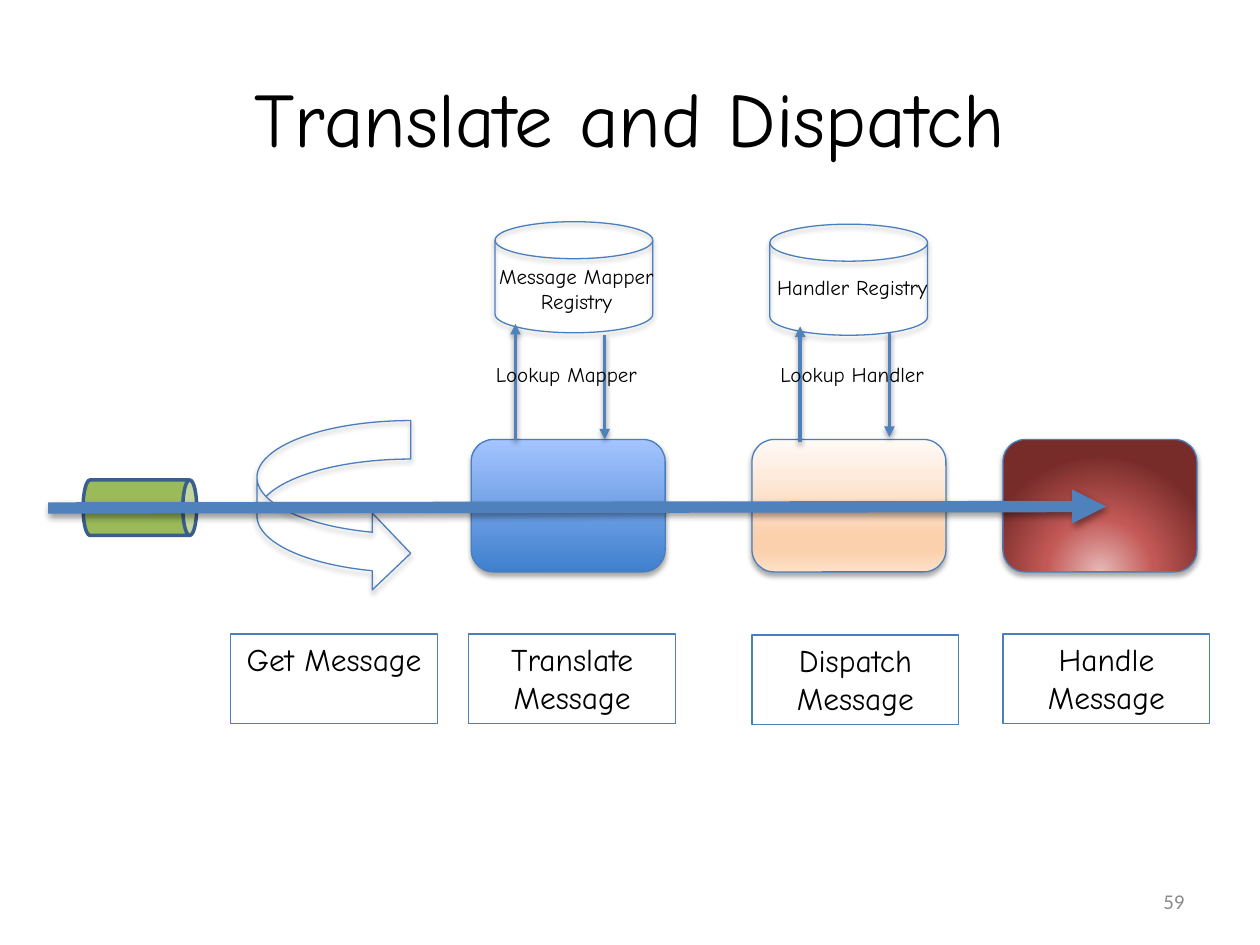
from lxml.etree import SubElement
from pptx import Presentation
from pptx.dml.color import RGBColor
from pptx.enum.shapes import MSO_CONNECTOR, MSO_SHAPE
from pptx.enum.text import MSO_ANCHOR, PP_ALIGN
from pptx.oxml import parse_xml
from pptx.oxml.ns import nsdecls, qn
from pptx.util import Cm, Pt

THEME = {
    "font": "Comic Neue", "number_font": "Calibri",
    "title": 44, "label": 18, "note": 12,
    "text": "000000", "number": "8C8C8C", "shadow": "000000",
    "outline": "4B7EBC", "arrow": "4F81BD",
    "queue": "9BBB59", "queue_outline": "3A5F8C",
}

TITLE = "Translate and Dispatch"
SLIDE_NUMBER = "59"

# Step label, left, top
LABELS = [
    ("Get Message", 4.65, 12.78),
    ("Translate Message", 9.45, 12.78),
    ("Dispatch Message", 15.16, 12.8),
    ("Handle Message", 20.22, 12.78),
]
LABEL_SIZE = (4.17, 1.8)

# Left edge, gradient stops (percent, colour), direction
UPWARD = '<a:lin ang="16200000" scaled="0"/>'
DOWNWARD = '<a:lin ang="5400000" scaled="0"/>'
GLOW = ('<a:path path="circle"><a:fillToRect l="50000" t="130000" '
        'r="50000" b="-30000"/></a:path>')
STAGES = [
    (9.5, [(0, "3F80CE"), (100, "A4C4FF")], UPWARD),
    (15.16, [(0, "FFFAF6"), (74, "FBD0AC"), (83, "FBD0AC"), (100, "FDE0C7")], DOWNWARD),
    (20.22, [(0, "E6B9B8"), (46, "C35956"), (100, "772C2A")], GLOW),
]
STAGE_TOP, STAGE_SIZE = 8.86, (3.91, 2.67)

REGISTRIES = [(9.98, 4.47), (15.52, 4.52)]
REGISTRY_SIZE = (3.18, 2.24)

# Text, left, top, height
NOTES = [
    ("Message Mapper Registry", 9.6, 5.18, 1.27),
    ("Handler Registry", 15.16, 5.41, 0.76),
    ("Lookup Mapper", 9.4, 7.16, 0.76),
    ("Lookup Handler", 15.16, 7.16, 0.76),
]
NOTE_WIDTH = 4.04

# Start x, start y, end x, end y, line width
ARROWS = [
    (10.39, 8.86, 10.39, 6.53, 2),
    (16.13, 8.92, 16.13, 6.58, 2),
    (12.19, 6.76, 12.19, 8.86, 2),
    (17.93, 6.71, 17.93, 8.81, 2),
    (0.97, 10.24, 22.3, 10.21, 6.5),
]


def color(name):
    return RGBColor.from_string(THEME[name])


def add_shadow(shape, distance, opacity):
    """Replace the theme effect with a soft shadow straight below."""
    properties = shape._element.spPr
    for old in properties.findall(qn("a:effectLst")):
        properties.remove(old)
    properties.append(parse_xml(
        f'<a:effectLst {nsdecls("a")}><a:outerShdw blurRad="{Pt(3.1)}" '
        f'dist="{Pt(distance)}" dir="5400000" rotWithShape="0">'
        f'<a:srgbClr val="{THEME["shadow"]}"><a:alpha val="{opacity * 1000}"/>'
        '</a:srgbClr></a:outerShdw></a:effectLst>'))


def add_outlined(slide, kind, left, top, size, line="outline", width=0.75):
    """Add an unfilled, shadowless shape with a coloured outline."""
    shape = slide.shapes.add_shape(kind, Cm(left), Cm(top), *map(Cm, size))
    shape.shadow.inherit = False
    shape.fill.background()
    shape.line.color.rgb = color(line)
    shape.line.width = Pt(width)
    return shape


def fill_gradient(shape, stops, direction):
    properties = shape._element.spPr
    properties.remove(properties.find(qn("a:noFill")))
    stop_xml = "".join(
        f'<a:gs pos="{position * 1000}"><a:srgbClr val="{value}"/></a:gs>'
        for position, value in stops)
    properties.find(qn("a:prstGeom")).addnext(parse_xml(
        f'<a:gradFill {nsdecls("a")} rotWithShape="1">'
        f'<a:gsLst>{stop_xml}</a:gsLst>{direction}</a:gradFill>'))


def write(shape, text, size, anchor=MSO_ANCHOR.TOP, align=PP_ALIGN.CENTER,
          font="font", ink="text"):
    frame = shape.text_frame
    frame.word_wrap = True
    frame.vertical_anchor = anchor
    para = frame.paragraphs[0]
    para.text = text
    para.alignment = align
    para.font.name = THEME[font]
    para.font.size = Pt(THEME[size])
    para.font.color.rgb = color(ink)


def add_text(slide, left, top, width, height, text, size, **style):
    box = slide.shapes.add_textbox(Cm(left), Cm(top), Cm(width), Cm(height))
    write(box, text, size, **style)


def add_arrow(slide, start_x, start_y, end_x, end_y, width):
    arrow = slide.shapes.add_connector(
        MSO_CONNECTOR.STRAIGHT, Cm(start_x), Cm(start_y), Cm(end_x), Cm(end_y))
    arrow.line.color.rgb = color("arrow")
    arrow.line.width = Pt(width)
    SubElement(arrow.line._get_or_add_ln(), qn("a:tailEnd"), type="triangle")
    add_shadow(arrow, 1.6, 38)


def main():
    deck = Presentation()
    deck.slide_width, deck.slide_height = Cm(25.4), Cm(19.05)
    slide = deck.slides.add_slide(deck.slide_layouts[5])

    title = slide.shapes.title
    title.left, title.top, title.width, title.height = map(Cm, (1.27, 0.76, 22.86, 3.18))
    write(title, TITLE, "title", anchor=MSO_ANCHOR.MIDDLE)
    add_text(slide, 18.21, 17.65, 5.92, 1.02, SLIDE_NUMBER, "note",
             anchor=MSO_ANCHOR.MIDDLE, align=PP_ALIGN.RIGHT,
             font="number_font", ink="number")

    fetch = add_outlined(slide, MSO_SHAPE.CURVED_RIGHT_ARROW, 5.18, 8.48, (3.1, 3.45))
    add_shadow(fetch, 1.8, 35)
    queue = add_outlined(slide, MSO_SHAPE.CAN, 2.26, 9.09, (1.12, 2.29),
                         "queue_outline", 2)
    queue.rotation = 90
    queue.fill.solid()
    queue.fill.fore_color.rgb = color("queue")

    for left, stops, direction in STAGES:
        stage = add_outlined(slide, MSO_SHAPE.ROUNDED_RECTANGLE, left, STAGE_TOP, STAGE_SIZE)
        fill_gradient(stage, stops, direction)
        add_shadow(stage, 1.8, 35)
    for left, top in REGISTRIES:
        registry = add_outlined(slide, MSO_SHAPE.FLOWCHART_MAGNETIC_DISK,
                                left, top, REGISTRY_SIZE)
        add_shadow(registry, 1.8, 35)
    for text, left, top in LABELS:
        label = add_outlined(slide, MSO_SHAPE.RECTANGLE, left, top, LABEL_SIZE)
        write(label, text, "label")
    for arrow in ARROWS[:-1]:
        add_arrow(slide, *arrow)
    for text, left, top, height in NOTES:
        add_text(slide, left, top, NOTE_WIDTH, height, text, "note")
    add_arrow(slide, *ARROWS[-1])

    deck.save("out.pptx")


if __name__ == "__main__":
    main()
